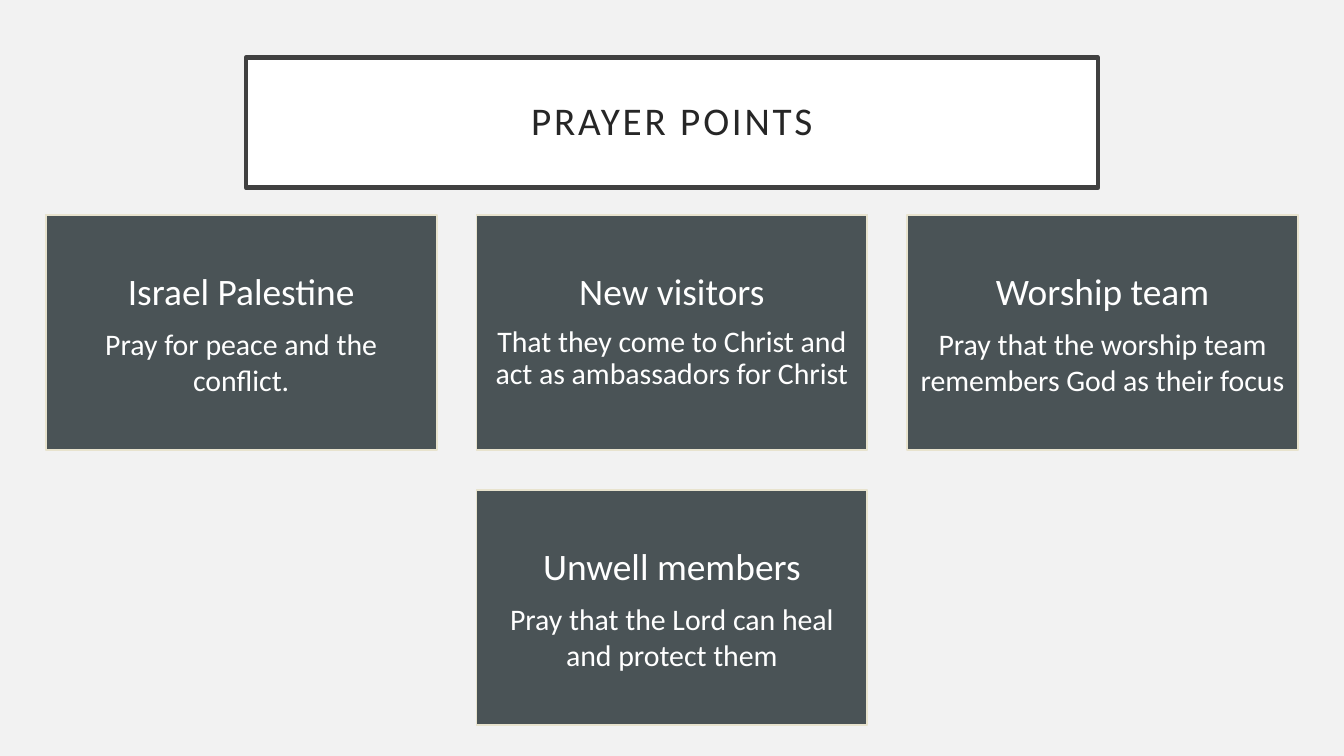
from dataclasses import dataclass

from pptx import Presentation
from pptx.dml.color import RGBColor
from pptx.enum.shapes import MSO_SHAPE
from pptx.enum.text import MSO_ANCHOR, PP_ALIGN
from pptx.util import Cm, Pt

RECT = MSO_SHAPE.RECTANGLE
MIDDLE = MSO_ANCHOR.MIDDLE
CENTER = PP_ALIGN.CENTER
FONT = "Calibri"
WIDE, HIGH = 25.4, 14.29
CARD_W, CARD_H, GAP = 7.39, 4.45, 0.75
TOP = 4.06
LEFT = (WIDE - 3 * CARD_W - 2 * GAP) / 2


@dataclass
class Line:
    text: str
    size: float
    color: str = "FFFFFF"
    pitch: float = 1.0
    after: float = 0
    track: int = 0


@dataclass
class Box:
    left: float
    top: float
    width: float
    height: float
    fill: str
    edge: str
    weight: float
    inset: float


@dataclass
class Card:
    col: int
    row: int
    head: str
    body: str
    pitch: float = 1.0


CARDS = [
    Card(0, 0, "Israel Palestine", "Pray for peace and the conflict."),
    Card(1, 0, "New visitors",
         "That they come to Christ and act as ambassadors for Christ", 0.9),
    Card(2, 0, "Worship team",
         "Pray that the worship team remembers God as their focus"),
    Card(1, 1, "Unwell members",
         "Pray that the Lord can heal and protect them"),
]


def color(code: str) -> RGBColor:
    return RGBColor.from_string(code)


def apply(target, values: dict) -> None:
    for name, value in values.items():
        setattr(target, name, value)


def draw_box(slide, box: Box, lines: list[Line]) -> None:
    shape = slide.shapes.add_shape(
        RECT, Cm(box.left), Cm(box.top), Cm(box.width), Cm(box.height))
    shape.shadow.inherit = False
    shape.fill.solid()
    shape.fill.fore_color.rgb = color(box.fill)
    shape.line.color.rgb = color(box.edge)
    shape.line.width = Pt(box.weight)
    frame = shape.text_frame
    pad = Cm(box.inset)
    apply(frame, {
        "word_wrap": True, "vertical_anchor": MIDDLE,
        "margin_left": pad, "margin_right": pad,
        "margin_top": pad, "margin_bottom": pad,
    })
    for i, line in enumerate(lines):
        para = frame.add_paragraph() if i else frame.paragraphs[0]
        apply(para, {"alignment": CENTER, "line_spacing": line.pitch,
                     "space_after": Pt(line.after)})
        run = para.add_run()
        run.text = line.text
        apply(run.font, {"name": FONT, "size": Pt(line.size)})
        run.font.color.rgb = color(line.color)
        if line.track:
            run.font._element.set("spc", str(line.track))


def draw_card(slide, card: Card) -> None:
    box = Box(LEFT + card.col * (CARD_W + GAP), TOP + card.row * (CARD_H + GAP),
              CARD_W, CARD_H, "4A5356", "E8E3CE", 1, 0.21)
    draw_box(slide, box, [
        Line(card.head, 20, pitch=card.pitch, after=7),
        Line(card.body, 16, pitch=card.pitch, after=5.6),
    ])


def main() -> None:
    deck = Presentation()
    apply(deck, {"slide_width": Cm(WIDE), "slide_height": Cm(HIGH)})
    slide = deck.slides.add_slide(deck.slide_layouts[6])
    back = slide.background.fill
    back.solid()
    back.fore_color.rgb = color("F2F2F2")
    draw_box(slide, Box(4.65, 1.09, 16.1, 2.46, "FFFFFF", "404040", 2.5, 0.51),
             [Line("PRAYER POINTS", 21, "262626", 0.9, track=150)])
    for card in CARDS:
        draw_card(slide, card)
    deck.save("out.pptx")


if __name__ == "__main__":
    main()
